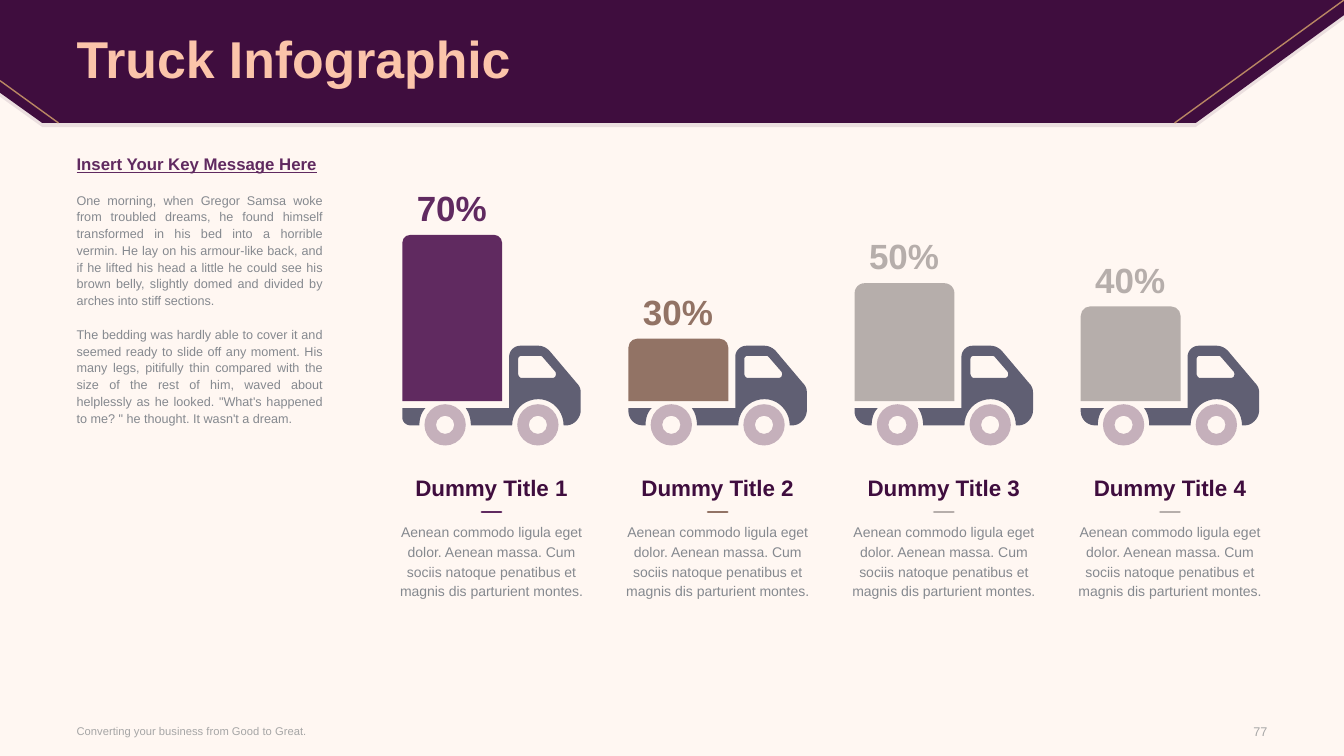
from lxml.etree import SubElement
from pptx import Presentation
from pptx.dml.color import RGBColor
from pptx.enum.shapes import MSO_CONNECTOR, MSO_SHAPE
from pptx.enum.text import MSO_ANCHOR, MSO_AUTO_SIZE, PP_ALIGN
from pptx.oxml.ns import qn
from pptx.util import Inches, Pt

CREAM = RGBColor(0xFF, 0xF7, 0xF2)
PLUM = RGBColor(0x3F, 0x0D, 0x3E)
PURPLE = RGBColor(0x60, 0x2A, 0x60)
BROWN = RGBColor(0x92, 0x73, 0x65)
TAUPE = RGBColor(0xB6, 0xAE, 0xAB)
PEACH = RGBColor(0xFB, 0xC4, 0xAA)
GOLD = RGBColor(0xB9, 0x87, 0x63)
SLATE = RGBColor(0x60, 0x5F, 0x73)
GRAY = RGBColor(0x85, 0x89, 0x8F)
LIGHT_GRAY = RGBColor(0xA6, 0xA6, 0xA6)

WIDTH, HEIGHT = 13.33, 7.5
MARGIN = 0.76
HEADER_HEIGHT = 1.22
TRUCK_LEFT, TRUCK_PITCH, AXLE_TOP = 3.99, 2.243, 4.22

DESCRIPTION = ("Aenean commodo ligula eget dolor. Aenean massa. Cum sociis "
               "natoque penatibus et magnis dis parturient montes.")
MESSAGE = [
    "Insert Your Key Message Here",
    "One morning, when Gregor Samsa woke from troubled dreams, he found himself "
    "transformed in his bed into a horrible vermin. He lay on his armour-like back, "
    "and if he lifted his head a little he could see his brown belly, slightly domed "
    "and divided by arches into stiff sections.",
    "The bedding was hardly able to cover it and seemed ready to slide off any moment. "
    "His many legs, pitifully thin compared with the size of the rest of him, waved "
    "about helplessly as he looked. \"What's happened to me? \" he thought. "
    "It wasn't a dream.",
]
# Label, colour, cargo height, cargo corner, rear bumper radius
TRUCKS = [
    ("70%", PURPLE, 1.65, 0.08, 0.08),
    ("30%", BROWN, 0.62, 0.14, 0.14),
    ("50%", TAUPE, 1.17, 0.1, 0.14),
    ("40%", TAUPE, 0.94, 0.1, 0.14),
]

# Outlines from the truck's left edge and axle: pairs are corners, sixes are curves
CAB = [
    (0.63, -0.17), (0.66, -0.13, 0.68, -0.07, 0.68, 0), (1.09, 0),
    (1.09, -0.14, 1.2, -0.26, 1.35, -0.26), (1.49, -0.26, 1.6, -0.14, 1.6, 0),
    (1.63, 0), (1.7, 0, 1.77, -0.07, 1.77, -0.15), (1.77, -0.32),
    (1.77, -0.36, 1.76, -0.39, 1.73, -0.42), (1.46, -0.74),
    (1.43, -0.77, 1.39, -0.79, 1.35, -0.79), (1.17, -0.79),
    (1.11, -0.79, 1.06, -0.74, 1.06, -0.68), (1.06, -0.17),
]
WINDOW = [
    (1.15, -0.66), (1.15, -0.68, 1.17, -0.69, 1.18, -0.69), (1.36, -0.69),
    (1.37, -0.69, 1.38, -0.69, 1.39, -0.68), (1.52, -0.53),
    (1.52, -0.52, 1.53, -0.51, 1.52, -0.49), (1.52, -0.48, 1.5, -0.47, 1.49, -0.47),
    (1.18, -0.47), (1.17, -0.47, 1.15, -0.49, 1.15, -0.51),
]


def flatten(outline, left, top, steps=10):
    """Turn corners and cubic curves into points in EMU."""
    points = []
    for part in outline:
        if len(part) == 2:
            points.append(part)
            continue
        controls = [points[-1], part[:2], part[2:4], part[4:]]
        for step in range(1, steps + 1):
            t = step / steps
            weights = ((1 - t) ** 3, 3 * t * (1 - t) ** 2, 3 * t * t * (1 - t), t ** 3)
            points.append(tuple(sum(w * c[axis] for w, c in zip(weights, controls))
                                for axis in (0, 1)))
    return [(Inches(left + x), Inches(top + y)) for x, y in points]


def paint(shape, color, opacity=100):
    shape.shadow.inherit = False
    shape.line.fill.background()
    shape.fill.solid()
    shape.fill.fore_color.rgb = color
    if opacity < 100:
        srgb = next(shape.element.spPr.iter(qn("a:srgbClr")))
        SubElement(srgb, qn("a:alpha"), val=str(opacity * 1000))


def add_outline(slide, outlines, left, top, color, opacity=100):
    contours = [flatten(outline, left, top) for outline in outlines]
    builder = slide.shapes.build_freeform(*contours[0][0], scale=1.0)
    builder.add_line_segments(contours[0][1:], close=True)
    for contour in contours[1:]:
        builder.move_to(*contour[0])
        builder.add_line_segments(contour[1:], close=True)
    paint(builder.convert_to_shape(), color, opacity)


def add_preset(slide, kind, left, top, width, height, adjustment, color, opacity=100):
    shape = slide.shapes.add_shape(kind, Inches(left), Inches(top),
                                   Inches(width), Inches(height))
    shape.adjustments[0] = adjustment
    paint(shape, color, opacity)


def add_line(slide, start, end, color, weight, cap="flat"):
    connector = slide.shapes.add_connector(
        MSO_CONNECTOR.STRAIGHT, *(Inches(value) for value in (*start, *end)))
    connector.line.color.rgb = color
    connector.line.width = Pt(weight)
    properties = connector.element.spPr
    properties.find(qn("a:ln")).set("cap", cap)
    SubElement(properties, qn("a:effectLst"))


def set_frame(shape, anchor):
    frame = shape.text_frame
    frame.word_wrap = True
    frame.auto_size = MSO_AUTO_SIZE.NONE
    frame.vertical_anchor = anchor
    frame.margin_left = frame.margin_right = frame.margin_top = frame.margin_bottom = 0
    return frame


def format_text(paragraph, text, size, color, bold=False, align=PP_ALIGN.LEFT, spacing=None):
    paragraph.text = text
    paragraph.alignment = align
    paragraph.line_spacing = spacing
    font = paragraph.font
    font.name, font.size, font.bold = "Arial", Pt(size), bold
    font.color.rgb = color


def add_text(slide, box, text, size, color, anchor=MSO_ANCHOR.TOP, **style):
    shape = slide.shapes.add_textbox(*(Inches(value) for value in box))
    format_text(set_frame(shape, anchor).paragraphs[0], text, size, color, **style)


def add_header(slide, width, height):
    # Banner over its pale offset shade
    banner = [(11.86, height), (0.42, height), (0, 0.92), (0, 0), (width, 0), (width, 0.15)]
    add_outline(slide, [banner], 0, 0.04, PLUM, opacity=10)
    add_outline(slide, [banner], 0, 0, PLUM)
    add_line(slide, (width, 0), (11.65, height), GOLD, 1)
    add_line(slide, (0, 0.8), (0.58, height), GOLD, 1)
    # Title, brought in front of the banner
    title = slide.shapes.title
    title.left, title.top = Inches(MARGIN), Inches(0.03)
    title.width, title.height = Inches(width - 2 * MARGIN), Inches(1.17)
    format_text(set_frame(title, MSO_ANCHOR.MIDDLE).paragraphs[0],
                "Truck Infographic", 37, PEACH, bold=True, spacing=0.9)
    title.element.getparent().append(title.element)


def add_message(slide, box):
    shape = slide.shapes.add_textbox(*(Inches(value) for value in box))
    frame = set_frame(shape, MSO_ANCHOR.TOP)
    for index, text in enumerate(MESSAGE):
        heading = index == 0
        paragraph = frame.paragraphs[0] if heading else frame.add_paragraph()
        format_text(paragraph, text, 12 if heading else 9, PURPLE if heading else GRAY,
                    bold=heading, align=PP_ALIGN.JUSTIFY, spacing=Pt(12))
        paragraph.font.underline = heading
        if not heading:
            paragraph.space_before = Pt(12)


def add_truck(slide, left, axle, number, label, color, cargo_height, corner, bumper):
    # Cargo box and percentage
    cargo_top = axle - 0.24 - cargo_height
    add_preset(slide, MSO_SHAPE.ROUND_2_SAME_RECTANGLE, left, cargo_top,
               0.99, cargo_height, corner, color)
    add_text(slide, (left + 0.03, cargo_top - 0.48, 0.92, 0.42), label, 25, color,
             bold=True, align=PP_ALIGN.CENTER)
    # Chassis, cab and wheels
    rear = [(0, -0.17), (0.23, -0.17), (0.19, -0.13, 0.17, -0.07, 0.17, 0), (bumper, 0),
            (0.45 * bumper, 0, 0, -0.45 * bumper, 0, -bumper)]
    add_outline(slide, [rear], left, axle, SLATE)
    add_outline(slide, [CAB, WINDOW], left, axle, SLATE)
    for wheel_left in (0.22, 1.14):
        add_preset(slide, MSO_SHAPE.DONUT, left + wheel_left, axle - 0.21,
                   0.41, 0.41, 0.28, PLUM, opacity=30)
    # Caption
    text_left, text_width = left - 0.08, 1.93
    add_text(slide, (text_left, axle + 0.48, text_width, 0.27), f"Dummy Title {number}",
             16, PLUM, bold=True, align=PP_ALIGN.CENTER)
    add_line(slide, (left + 0.79, axle + 0.86), (left + 0.98, axle + 0.86), color, 2, "rnd")
    add_text(slide, (text_left, axle + 0.95, text_width, 0.79), DESCRIPTION, 10, GRAY,
             align=PP_ALIGN.CENTER, spacing=Pt(14))


def add_footer(slide, width, top):
    add_text(slide, (MARGIN, top, 5.23, 0.26), "Converting your business from Good to Great.",
             8, LIGHT_GRAY, MSO_ANCHOR.MIDDLE)
    add_text(slide, (width - MARGIN - 0.63, top + 0.01, 0.63, 0.26), "77", 9, LIGHT_GRAY,
             MSO_ANCHOR.MIDDLE, align=PP_ALIGN.RIGHT)


def main():
    presentation = Presentation()
    presentation.slide_width, presentation.slide_height = Inches(WIDTH), Inches(HEIGHT)
    slide = presentation.slides.add_slide(presentation.slide_layouts[5])
    slide.background.fill.solid()
    slide.background.fill.fore_color.rgb = CREAM
    add_header(slide, WIDTH, HEADER_HEIGHT)
    add_message(slide, (MARGIN, 1.56, 2.44, 5.19))
    for index, truck in enumerate(TRUCKS):
        add_truck(slide, TRUCK_LEFT + index * TRUCK_PITCH, AXLE_TOP, index + 1, *truck)
    add_footer(slide, WIDTH, HEIGHT - 0.38)
    presentation.save("out.pptx")


if __name__ == "__main__":
    main()
